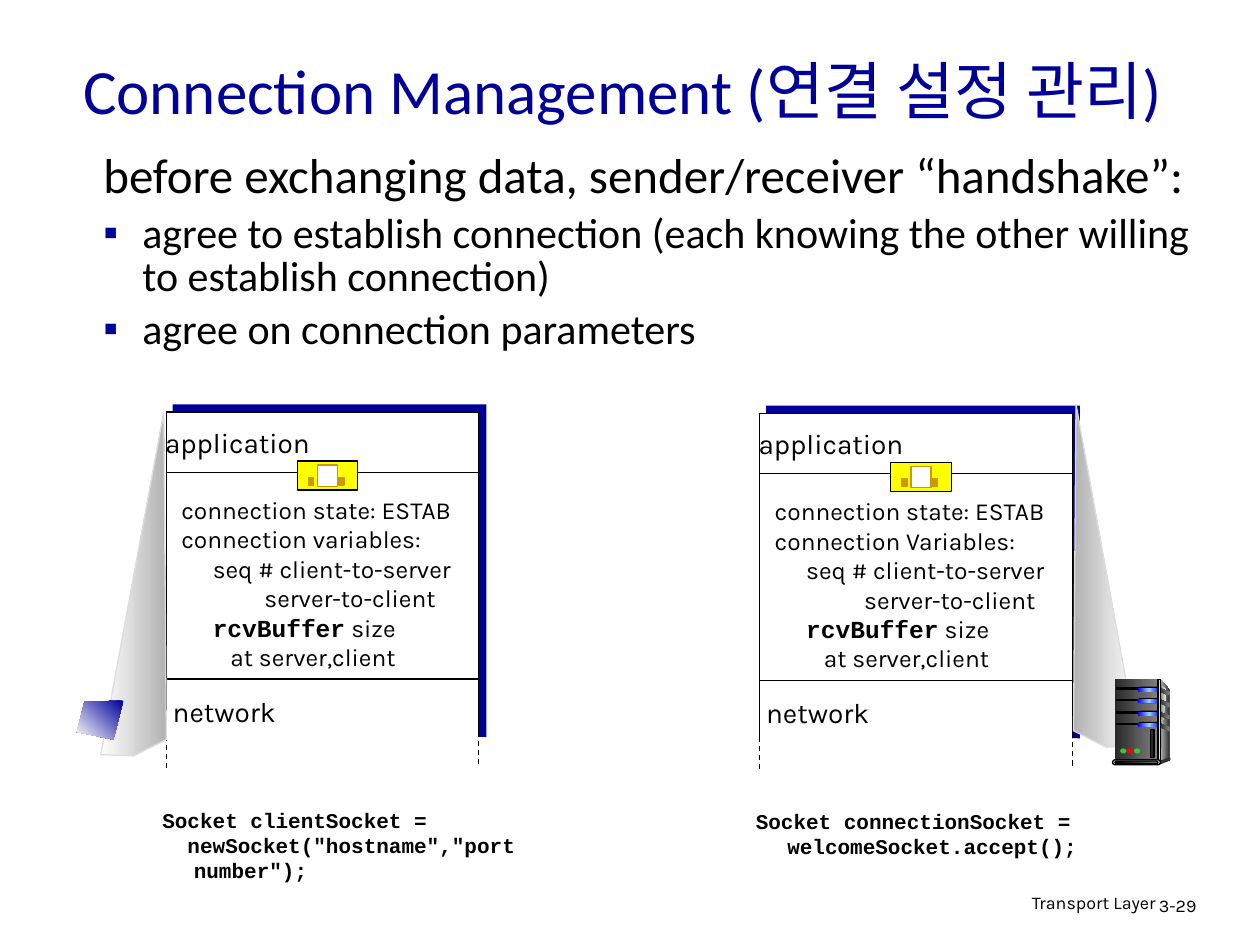
from lxml import etree
from pptx import Presentation
from pptx.dml.color import RGBColor
from pptx.enum.dml import MSO_LINE
from pptx.enum.shapes import MSO_CONNECTOR, MSO_SHAPE
from pptx.enum.text import MSO_ANCHOR, MSO_AUTO_SIZE, PP_ALIGN
from pptx.oxml.ns import qn
from pptx.util import Inches, Pt

# Content
TITLE = "Connection Management (연결 설정 관리)"
LEAD = "before exchanging data, sender/receiver “handshake”:"
AGREEMENTS = [
    "agree to establish connection (each knowing the other willing to establish connection)",
    "agree on connection parameters",
]
HOSTS = [
    {"corner": (1.32, 3.27), "variables": "connection variables:", "reply_indent": 0.66,
     "code": ["Socket clientSocket =", '  newSocket("hostname","port number");'],
     "cone": [(0.8, 5.99), (1.3, 3.27), (1.32, 5.87), (1.06, 6)], "cone_fill": ("white", "gray")},
    {"corner": (6.03, 3.28), "variables": "connection Variables:", "reply_indent": 0.71,
     "code": ["Socket connectionSocket = welcomeSocket.accept();"],
     "cone": [(9.03, 5.92), (8.54, 3.21), (8.52, 5.8), (8.78, 5.93)], "cone_fill": ("gray", "white")},
]
FOOTER = [("Transport Layer", (6.1, 7.05, 3.17, 0.31), PP_ALIGN.RIGHT),
          ("3-29", (9.1, 7.07, 0.74, 0.3), PP_ALIGN.LEFT)]

# Style
COLORS = {
    "navy": "000099", "black": "000000", "white": "FFFFFF", "yellow": "FFFF00", "ochre": "CC9900",
    "gray": "B2B2B2", "silver": "DDDDDD", "coal": "292929", "iron": "333333", "steel": "808080",
    "pale": "F8F8F8", "blue": "0000FF", "sky": "99CCFF", "green": "33CC33", "red": "FF0000",
}
HEAD, LABEL, CODE = "Calibri", "Karla", "Courier New"
RECT, PILL, OVAL = MSO_SHAPE.RECTANGLE, MSO_SHAPE.ROUNDED_RECTANGLE, MSO_SHAPE.OVAL
PANEL_W, PANEL_H = 2.48, 2.7


def rgb(name):
    return RGBColor.from_string(COLORS[name])


def paint(shape, fill, line=None, angle=0):
    """Fill with one colour name, or with a tuple of evenly spaced gradient stops."""
    shape.shadow.inherit = False
    if isinstance(fill, tuple):
        shape.fill.gradient()
        shape.fill.gradient_angle = angle
        stops = next(shape._element.spPr.iter(qn("a:gsLst")))
        for stop in list(stops):
            stops.remove(stop)
        for i, name in enumerate(fill):
            stop = etree.SubElement(stops, qn("a:gs"), pos=str(100000 * i // (len(fill) - 1)))
            etree.SubElement(stop, qn("a:srgbClr"), val=COLORS[name])
    else:
        shape.fill.solid()
        shape.fill.fore_color.rgb = rgb(fill)
    if line:
        shape.line.color.rgb = rgb(line)
        shape.line.width = Pt(0.75)
    else:
        shape.line.fill.background()


def block(shapes, kind, box, fill, line=None):
    shape = shapes.add_shape(kind, *map(Inches, box))
    if kind == PILL:
        shape.adjustments[0] = 0.5
    paint(shape, fill, line)


def polygon(shapes, points, fill, line=None, angle=0):
    corners = [(round(x * 100), round(y * 100)) for x, y in points]
    builder = shapes.build_freeform(*corners[0], scale=Inches(1) / 100)
    builder.add_line_segments(corners[1:], close=True)
    paint(builder.convert_to_shape(), fill, line, angle)


def rule(shapes, start, end, dashed=False):
    line = shapes.add_connector(MSO_CONNECTOR.STRAIGHT, *map(Inches, start + end))
    line.line.color.rgb = rgb("black")
    line.line.width = Pt(0.75)
    if dashed:
        line.line.dash_style = MSO_LINE.DASH
    etree.SubElement(line._element.spPr, qn("a:effectLst"))


def style(font, face, size, color="black", bold=False):
    font.name, font.size, font.bold = face, Pt(size), bold
    font.color.rgb = rgb(color)


def indent(paragraph, left, first=0):
    properties = paragraph._p.get_or_add_pPr()
    properties.set("marL", str(Inches(left)))
    properties.set("indent", str(Inches(first)))
    return properties


def paragraphs(frame, count):
    return [frame.paragraphs[0]] + [frame.add_paragraph() for _ in range(count - 1)]


def label(shapes, box, lines, face, size, align=PP_ALIGN.LEFT, wrap=True, bold=False):
    frame = shapes.add_textbox(*map(Inches, box)).text_frame
    frame.word_wrap = wrap
    for paragraph, text in zip(paragraphs(frame, len(lines)), lines):
        paragraph.text, paragraph.alignment = text, align
        style(paragraph.font, face, size, bold=bold)
    return frame


def draw_host(shapes, host):
    x, y = host["corner"]
    right = x + PANEL_W
    # Panel with its offset backing
    block(shapes, RECT, (x + 0.05, y - 0.06, 2.49, 2.64), "navy")
    block(shapes, RECT, (x, y, PANEL_W, PANEL_H), "white", "black")
    for depth in (0.48, 2.12):
        rule(shapes, (x, y + depth), (right, y + depth))
    # Connection state
    rows = ["connection state: ESTAB", host["variables"], "seq # client-to-server",
            "server-to-client", "", "at server,client"]
    frame = label(shapes, (x + 0.02, y + 0.61, 2.55, 1.74), rows, LABEL, 14)
    for row, left in zip(frame.paragraphs, (0, 0, 0.25, host["reply_indent"], 0.25, 0.39)):
        indent(row, left)
    for text, face, bold in (("rcvBuffer", CODE, True), (" size", LABEL, False)):
        run = frame.paragraphs[4].add_run()
        run.text = text
        style(run.font, face, 14, bold=bold)
    # Socket between application and transport
    socket = shapes.add_group_shape().shapes
    block(socket, RECT, (x + 1.04, y + 0.39, 0.48, 0.23), "yellow", "black")
    block(socket, RECT, (x + 1.2, y + 0.42, 0.16, 0.17), "white", "ochre")
    for dx in (1.13, 1.37):
        block(socket, RECT, (x + dx, y + 0.52, 0.04, 0.06), "ochre", "ochre")
    # Layer names
    for name, dx, dy, width in (("application", -0.11, 0.06, 1.35), ("network", -0.07, 2.19, 1.06)):
        label(shapes, (x + dx, y + dy, width, 0.37), [name], LABEL, 16, PP_ALIGN.CENTER, False)
    # Open bottom edge and cone to the device
    block(shapes, RECT, (x - 0.03, y + 2.58, 2.55, 0.2), "white")
    for edge, dy in ((x, 2.57), (right, 2.54)):
        rule(shapes, (edge, y + dy), (edge, y + dy + 0.26), dashed=True)
    polygon(shapes, host["cone"], host["cone_fill"], "silver")
    # Socket call
    frame = label(shapes, (x - 0.13, y + 3.09, 3.16, 0.7), host["code"], CODE, 12, bold=True)
    for paragraph in frame.paragraphs:
        indent(paragraph, 0.25, -0.25)


def draw_server(shapes):
    tower = shapes.add_group_shape().shapes
    # Case
    polygon(tower, [(9.21, 5.39), (9.28, 5.47), (9.28, 6.01), (9.19, 6.04)], ("silver", "iron"))
    block(tower, RECT, (8.85, 5.39, 0.34, 0.65), ("coal", "steel"))
    polygon(tower, [(9.21, 5.43), (9.26, 5.48), (9.22, 5.8), (9.21, 6.04)], ("steel", "pale"))
    # Drive bays
    for y in (5.46, 5.55, 5.65, 5.74):
        block(tower, RECT, (8.86, y, 0.19, 0.01), "black", "black")
        block(tower, PILL, (9.03, y - 0.01, 0.19, 0.04), "black")
        block(tower, PILL, (9.03, y, 0.18, 0.03), ("blue", "sky", "blue"))
        polygon(tower, [(9.2, y), (9.28, y + 0.03), (9.28, y + 0.06), (9.2, y + 0.03)],
                ("coal", "steel"))
    # Edge and base
    block(tower, RECT, (9.19, 5.39, 0.02, 0.65), ("iron", "silver", "iron"), "black")
    block(tower, OVAL, (9.27, 6.01, 0.02, 0.03), "iron")
    polygon(tower, [(9.2, 6.04), (9.2, 6.07), (9.28, 6.04), (9.28, 6.01)], "iron")
    block(tower, PILL, (8.83, 6.03, 0.38, 0.04), "silver", "black")
    block(tower, PILL, (8.85, 6.04, 0.34, 0.02), ("black", "steel"), "black")
    # Lights and vent
    for x, color in ((8.89, "green"), (8.94, "red"), (9, "green")):
        block(tower, OVAL, (x, 5.94, 0.05, 0.04), color)
    block(tower, RECT, (9.13, 5.79, 0.03, 0.22), "coal", "black")


def place(placeholder, box, anchor):
    placeholder.left, placeholder.top, placeholder.width, placeholder.height = map(Inches, box)
    frame = placeholder.text_frame
    frame.auto_size, frame.vertical_anchor, frame.word_wrap = MSO_AUTO_SIZE.NONE, anchor, True
    return frame


def main():
    deck = Presentation()
    deck.slide_width, deck.slide_height = Inches(10), Inches(7.5)
    slide = deck.slides.add_slide(deck.slide_layouts[1])

    # Title
    heading = place(slide.shapes.title, (0.56, 0.21, 9.28, 1), MSO_ANCHOR.MIDDLE).paragraphs[0]
    heading.text, heading.alignment = TITLE, PP_ALIGN.LEFT
    style(heading.font, HEAD, 36, "navy")

    # Handshake list
    body = place(slide.placeholders[1], (0.72, 1.17, 9.12, 2.39), MSO_ANCHOR.TOP)
    points = [LEAD] + AGREEMENTS
    for i, (paragraph, text) in enumerate(zip(paragraphs(body, len(points)), points)):
        paragraph.text = text
        paragraph.line_spacing, paragraph.space_before = 0.85, Pt(6 if i else 0)
        properties = indent(paragraph, 0.31, -0.31)
        if i:
            color = etree.SubElement(properties, qn("a:buClr"))
            etree.SubElement(color, qn("a:srgbClr"), val=COLORS["navy"])
            etree.SubElement(properties, qn("a:buChar"), char="▪")
        else:
            etree.SubElement(properties, qn("a:buNone"))
        style(paragraph.font, HEAD, 24 if i else 28)

    # Hosts and their devices
    for host in HOSTS:
        draw_host(slide.shapes, host)
    polygon(slide.shapes, [(0.98, 5.56), (0.67, 5.57), (0.61, 5.81), (0.9, 5.87)],
            ("navy", "white"), angle=225)
    draw_server(slide.shapes)

    # Footer
    for text, box, align in FOOTER:
        label(slide.shapes, box, [text], LABEL, 10.2, align).paragraphs[0].line_spacing = 0.9

    deck.save("out.pptx")


if __name__ == "__main__":
    main()
